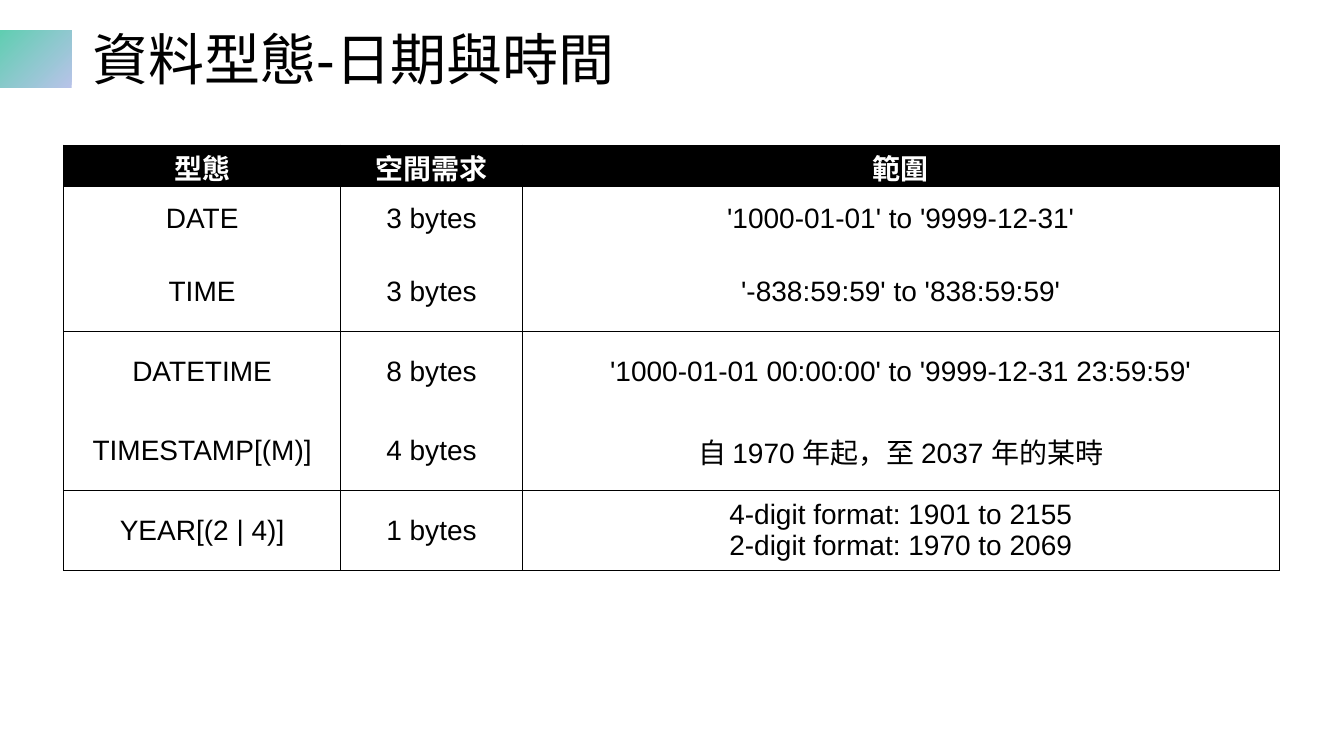
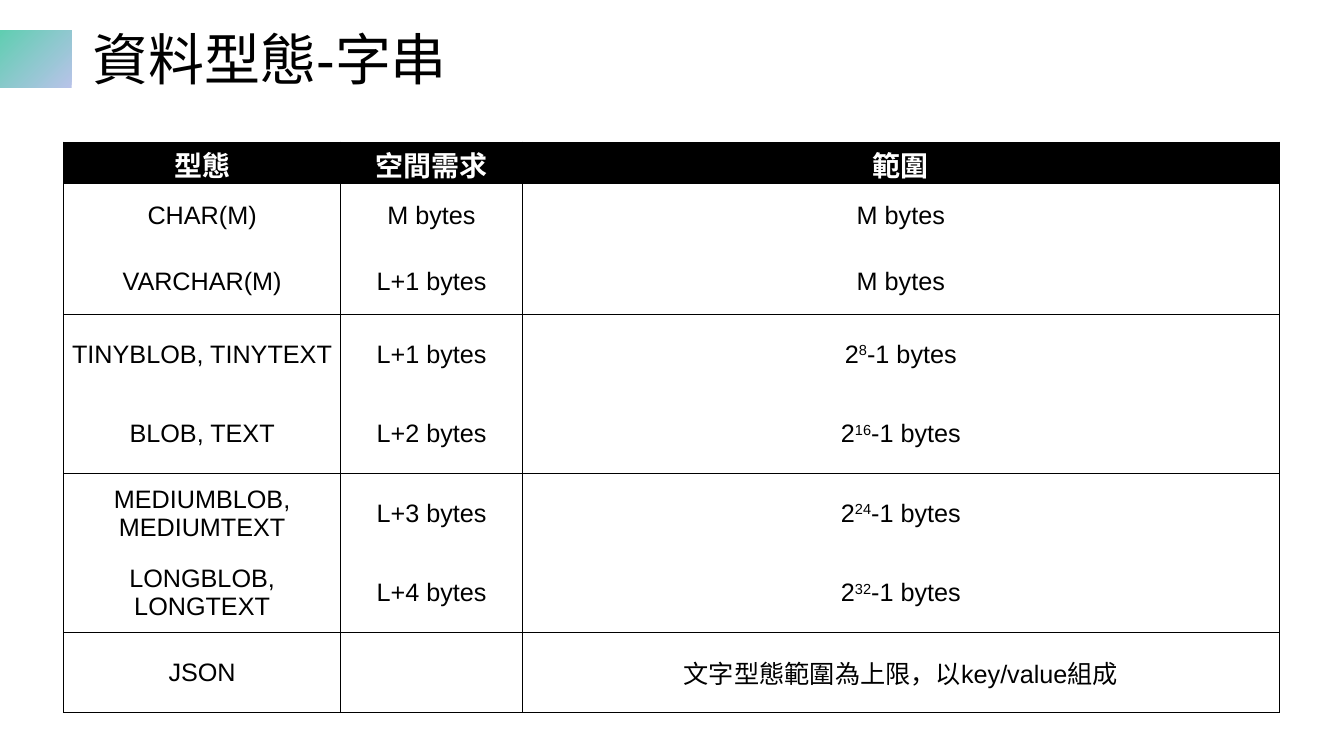
from lxml import etree
from pptx import Presentation
from pptx.dml.color import RGBColor
from pptx.enum.shapes import MSO_SHAPE
from pptx.enum.text import MSO_ANCHOR, PP_ALIGN
from pptx.oxml.ns import qn
from pptx.util import Inches, Pt

RECTANGLE = MSO_SHAPE.RECTANGLE
MIDDLE = MSO_ANCHOR.MIDDLE
CENTER = PP_ALIGN.CENTER

BLACK = RGBColor(0x00, 0x00, 0x00)
WHITE = RGBColor(0xFF, 0xFF, 0xFF)
LAVENDER = RGBColor(0xB8, 0xC3, 0xE9)
MINT = RGBColor(0x60, 0xCE, 0xB1)

FONT = "Arial"
TITLE_SIZE = 40
HEADER_SIZE = 20
HEADER_INSET = 0.02
BODY_INSET = 0.03
BORDER_WIDTH = Pt(0.75)

HEADER = ("型態", "空間需求", "範圍")
COLUMN_WIDTHS = (2.75, 1.8, 7.51)
TABLE_LEFT = 0.63

DATE_ROWS = [
    ("DATE", "3 bytes", "'1000-01-01' to '9999-12-31'"),
    ("TIME", "3 bytes", "'-838:59:59' to '838:59:59'"),
    ("DATETIME", "8 bytes", "'1000-01-01 00:00:00' to '9999-12-31 23:59:59'"),
    ("TIMESTAMP[(M)]", "4 bytes", "自 1970 年起，至 2037 年的某時"),
    ("YEAR[(2 | 4)]", "1 bytes",
     "4-digit format: 1901 to 2155\n2-digit format: 1970 to 2069"),
]
STRING_ROWS = [
    ("CHAR(M)", "M bytes", "M bytes"),
    ("VARCHAR(M)", "L+1 bytes", "M bytes"),
    ("TINYBLOB, TINYTEXT", "L+1 bytes", "2^8^-1 bytes"),
    ("BLOB, TEXT", "L+2 bytes", "2^16^-1 bytes"),
    ("MEDIUMBLOB, MEDIUMTEXT", "L+3 bytes", "2^24^-1 bytes"),
    ("LONGBLOB, LONGTEXT", "L+4 bytes", "2^32^-1 bytes"),
    ("JSON", "", "文字型態範圍為上限，以key/value組成"),
]


def style_font(paragraph, size, color, bold=False):
    """Set the shared typeface with the given size, colour and weight."""
    paragraph.font.name = FONT
    paragraph.font.size = Pt(size)
    paragraph.font.color.rgb = color
    paragraph.font.bold = bold


def add_title(slide, text):
    """Place the gradient tab and the slide title beside it."""
    tab = slide.shapes.add_shape(RECTANGLE, 0, Inches(0.3), Inches(0.71), Inches(0.57))
    tab.shadow.inherit = False
    tab.line.fill.background()
    tab.fill.gradient()
    tab.fill.gradient_angle = 135
    for stop, color in zip(tab.fill.gradient_stops, (LAVENDER, MINT)):
        stop.color.rgb = color

    title = slide.shapes.add_textbox(Inches(0.82), Inches(0.14), Inches(11.5), Inches(0.95))
    frame = title.text_frame
    frame.word_wrap = True
    frame.vertical_anchor = MIDDLE
    paragraph = frame.paragraphs[0]
    paragraph.text = text
    paragraph.line_spacing = 0.9
    style_font(paragraph, TITLE_SIZE, BLACK)


def set_borders(cell, top, bottom):
    """Draw the side borders, and the top and bottom ones where asked."""
    properties = cell._tc.get_or_add_tcPr()
    for tag, visible in (("a:lnL", True), ("a:lnR", True), ("a:lnT", top), ("a:lnB", bottom)):
        line = etree.SubElement(properties, qn(tag), w=str(BORDER_WIDTH))
        if visible:
            fill = etree.SubElement(line, qn("a:solidFill"))
            etree.SubElement(fill, qn("a:srgbClr"), val=str(BLACK))
        else:
            etree.SubElement(line, qn("a:noFill"))


def write_text(paragraph, text):
    """Write text, raising whatever stands between carets."""
    if "^" not in text:
        paragraph.text = text
        return
    for index, part in enumerate(text.split("^")):
        run = paragraph.add_run()
        run.text = part
        if index % 2:
            run._r.get_or_add_rPr().set("baseline", "30000")


def fill_cell(cell, text, size, is_header):
    """Write one centred cell in the header or body style."""
    inset = Inches(HEADER_INSET if is_header else BODY_INSET)
    cell.margin_left = cell.margin_right = inset
    cell.margin_top = cell.margin_bottom = inset
    cell.vertical_anchor = MIDDLE
    if is_header:
        cell.fill.solid()
        cell.fill.fore_color.rgb = BLACK
    else:
        cell.fill.background()
    paragraph = cell.text_frame.paragraphs[0]
    write_text(paragraph, text)
    paragraph.alignment = CENTER
    style_font(paragraph, size, WHITE if is_header else BLACK, is_header)


def add_type_table(slide, top, row_heights, body_rows, body_size):
    """Place a table of data types whose body rows are ruled off in pairs."""
    rows = [HEADER, *body_rows]
    frame = slide.shapes.add_table(
        len(rows), len(HEADER), Inches(TABLE_LEFT), Inches(top),
        Inches(sum(COLUMN_WIDTHS)), Inches(sum(row_heights)))
    table = frame.table
    table.horz_banding = False
    for column, width in zip(table.columns, COLUMN_WIDTHS):
        column.width = Inches(width)
    for row, height in zip(table.rows, row_heights):
        row.height = Inches(height)
    last = len(rows) - 1
    for row_index, texts in enumerate(rows):
        is_header = row_index == 0
        top_line = is_header or row_index % 2 == 1
        bottom_line = row_index % 2 == 0 or row_index == last
        for column_index, text in enumerate(texts):
            cell = table.cell(row_index, column_index)
            set_borders(cell, top_line, bottom_line)
            fill_cell(cell, text, HEADER_SIZE if is_header else body_size, is_header)


def add_type_slide(presentation, title, top, row_heights, body_rows, body_size):
    """Add a slide with a title and its table of data types."""
    slide = presentation.slides.add_slide(presentation.slide_layouts[6])
    add_title(slide, title)
    add_type_table(slide, top, row_heights, body_rows, body_size)


def main():
    """Build and save the presentation."""
    presentation = Presentation()
    presentation.slide_width = Inches(13.33)
    presentation.slide_height = Inches(7.5)
    add_type_slide(presentation, "資料型態-日期與時間", 1.44,
                   [0.41, 0.65] + [0.79] * 4, DATE_ROWS, 20)
    add_type_slide(presentation, "資料型態-字串", 1.41,
                   [0.41, 0.65, 0.65] + [0.79] * 5, STRING_ROWS, 18)
    presentation.save("out.pptx")


if __name__ == "__main__":
    main()
